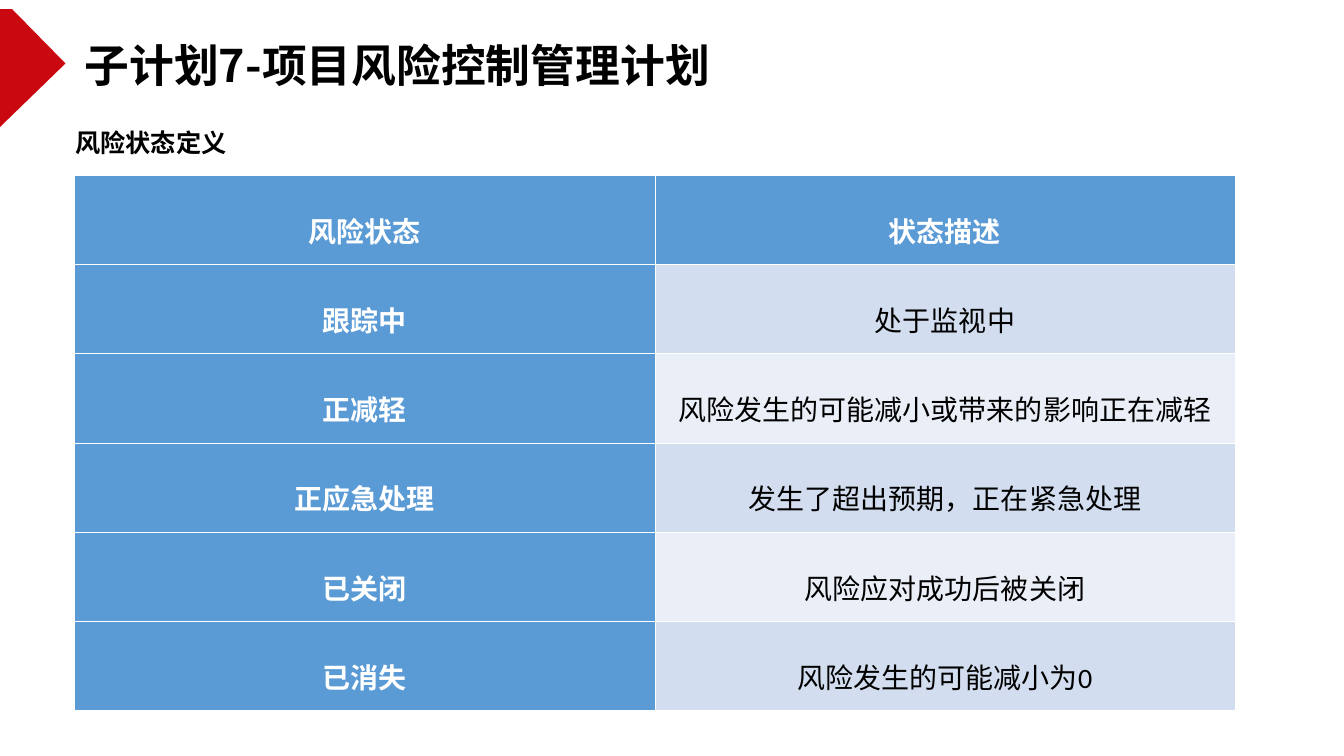
from lxml import etree
from pptx import Presentation
from pptx import util as u
from pptx.dml.color import RGBColor
from pptx.enum import text as t
from pptx.oxml import ns

PX = 9144
CJK = "Noto Sans CJK SC"
WHITE, BLACK, BLUE = "FFFFFF", "000000", "5B9BD5"
BANDS = ["D2DEEF", "EAEFF7"]


def paint(fill, color):
    fill.solid()
    fill.fore_color.rgb = RGBColor.from_string(color)


def write(frame, words, size=20, face="Calibri", color=BLACK, bold=True, align=None, gap=None):
    para = frame.paragraphs[0]
    para.alignment = align
    para.line_spacing = gap
    run = para.add_run()
    run.text = words
    font = run.font
    font.size, font.name, font.bold = u.Pt(size), face, bold
    paint(font.fill, color)
    etree.SubElement(run._r.get_or_add_rPr(), ns.qn("a:ea"), typeface=CJK)


deck = Presentation()
deck.slide_width, deck.slide_height = 1334 * PX, 750 * PX
slide = deck.slides.add_slide(deck.slide_layouts[6])

pen = slide.shapes.build_freeform(0, 9, scale=PX)
pen.add_line_segments([(0, 126), (65, 63), (12, 9)], close=True)
flag = pen.convert_to_shape()
flag.shadow.inherit = False
paint(flag.fill, "CA0810")
flag.line.fill.background()

for words, place, size, face in [
    ("子计划7-项目风险控制管理计划", (74, 33, 669, 64), 32, CJK),
    ("风险状态定义", (65, 121, 193, 40), 18, "Calibri"),
]:
    box = slide.shapes.add_textbox(*(n * PX for n in place))
    box.text_frame.word_wrap = True
    write(box.text_frame, words, size=size, face=face)

rows = [
    ("风险状态", "状态描述"),
    ("跟踪中", "处于监视中"),
    ("正减轻", "风险发生的可能减小或带来的影响正在减轻"),
    ("正应急处理", "发生了超出预期，正在紧急处理"),
    ("已关闭", "风险应对成功后被关闭"),
    ("已消失", "风险发生的可能减小为0"),
]
grid = slide.shapes.add_table(len(rows), 2, 74 * PX, 174 * PX, 1152 * PX, 531 * PX).table
for r, row in enumerate(rows):
    for c, words in enumerate(row):
        cell = grid.cell(r, c)
        head = r == 0 or c == 0
        cell.vertical_anchor = t.MSO_ANCHOR.MIDDLE
        cell.margin_left = cell.margin_right = 8 * PX
        cell.margin_top = cell.margin_bottom = 5 * PX
        props = cell._tc.get_or_add_tcPr()
        for side in "LRTB":
            thick = (r, side) in [(0, "B"), (1, "T")]
            width = u.Pt(1.47 if thick else 0.45)
            edge = etree.SubElement(props, ns.qn("a:ln" + side), w=str(int(width)))
            solid = etree.SubElement(edge, ns.qn("a:solidFill"))
            etree.SubElement(solid, ns.qn("a:srgbClr"), val=WHITE)
        paint(cell.fill, BLUE if head else BANDS[(r - 1) % 2])
        write(cell.text_frame, words, color=WHITE if head else BLACK, bold=head,
              align=t.PP_ALIGN.CENTER, gap=1.5)

deck.save("out.pptx")
